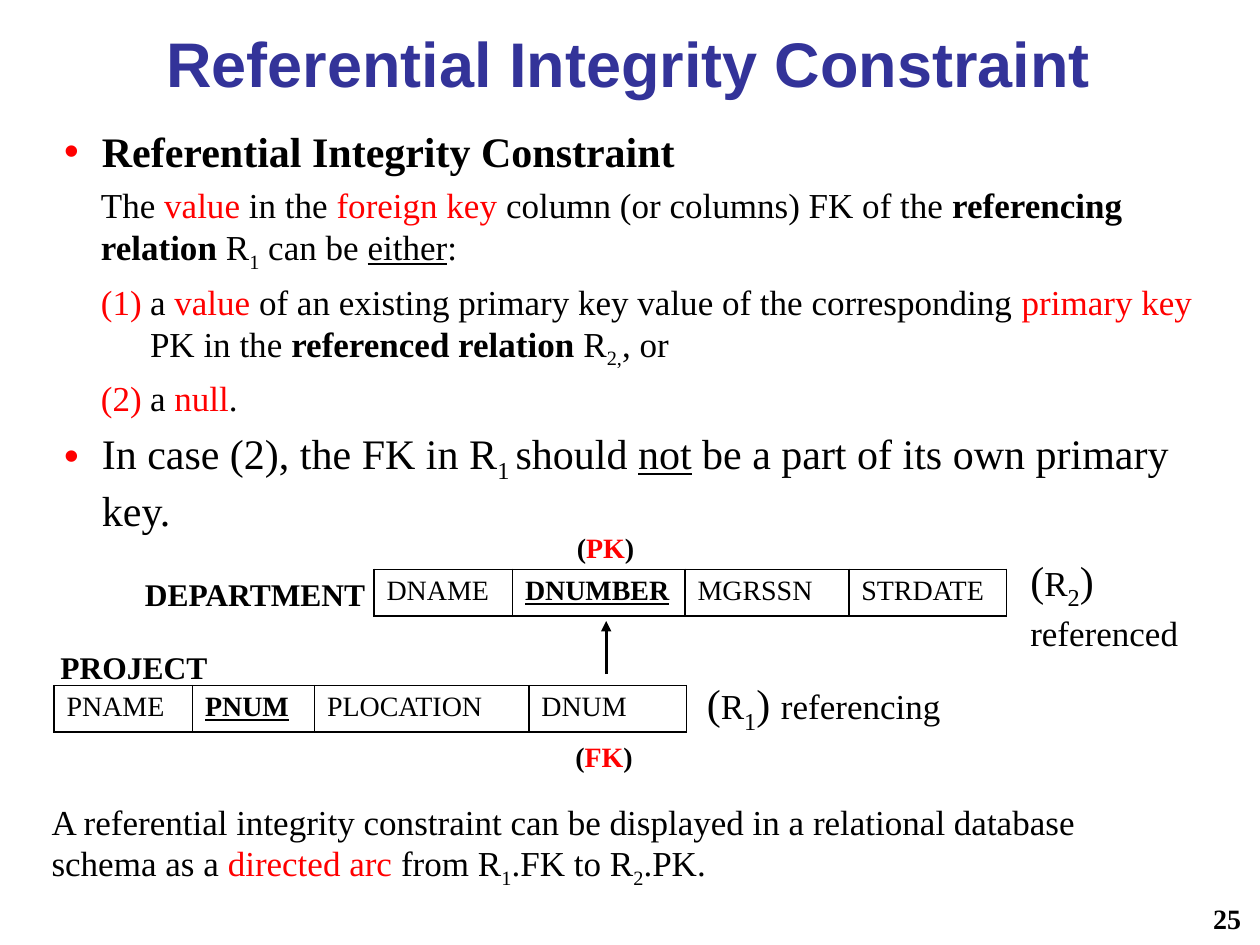
from lxml import etree
from pptx import Presentation
from pptx.dml.color import RGBColor
from pptx.enum.shapes import MSO_CONNECTOR
from pptx.enum.text import MSO_ANCHOR, MSO_AUTO_SIZE, PP_ALIGN
from pptx.oxml.ns import qn
from pptx.util import Cm, Pt

STRAIGHT = MSO_CONNECTOR.STRAIGHT
TOP, MIDDLE = MSO_ANCHOR.TOP, MSO_ANCHOR.MIDDLE
LEFT, CENTER, RIGHT = PP_ALIGN.LEFT, PP_ALIGN.CENTER, PP_ALIGN.RIGHT
NO_FIT = MSO_AUTO_SIZE.NONE
COLORS = {"black": "000000", "red": "FF0000", "navy": "333399"}

PLAIN, RED, BOLD = {}, {"color": "red"}, {"bold": True}
UNDERLINE, SUBSCRIPT = {"underline": True}, {"subscript": True}
KEY = {**BOLD, **UNDERLINE}
BOLD_RED = {**BOLD, **RED}


def write(paragraph, text, size=20, font="Times New Roman", color="black",
          bold=False, underline=False, subscript=False):
    run = paragraph.add_run()
    run.text = text
    run.font.size = Pt(size)
    run.font.name = font
    run.font.bold = bold
    run.font.underline = underline
    run.font.color.rgb = RGBColor.from_string(COLORS[color])
    if subscript:
        run.font._element.set("baseline", "-25000")


def add_element(parent, tag, **attributes):
    return etree.SubElement(parent, qn(tag), attributes)


presentation = Presentation()
presentation.slide_width, presentation.slide_height = Cm(25.4), Cm(19.05)
slide = presentation.slides.add_slide(presentation.slide_layouts[1])

title = slide.shapes.title
title.left, title.top, title.width, title.height = Cm(0.48), Cm(0.38), Cm(24.38), Cm(1.75)
title.text_frame.auto_size = NO_FIT
title.text_frame.vertical_anchor = MIDDLE
title_paragraph = title.text_frame.paragraphs[0]
title_paragraph.alignment = CENTER
write(title_paragraph, "Referential Integrity Constraint", size=36, font="Arial", color="navy", bold=True)

body = slide.placeholders[1]
body.left, body.top, body.width, body.height = Cm(1.04), Cm(2.41), Cm(23.55), Cm(8.46)
body.text_frame.auto_size = NO_FIT
body.text_frame.vertical_anchor = TOP

INDENTS = {"bullet": (0.76, -0.76), "plain": (0.74, 0), "number": (1.73, -0.99)}
body_paragraphs = [
    ("bullet", 24, [("Referential Integrity Constraint", BOLD)]),
    ("plain", 20, [
        ("The ", PLAIN), ("value", RED), (" in the ", PLAIN), ("foreign key ", RED),
        ("column (or columns) FK of the ", PLAIN), ("referencing relation ", BOLD),
        ("R", PLAIN), ("1", SUBSCRIPT), (" can be ", PLAIN), ("either", UNDERLINE), (":", PLAIN)]),
    ("number", 20, [
        ("a ", PLAIN), ("value", RED),
        (" of an existing primary key value of the corresponding ", PLAIN),
        ("primary key ", RED), ("PK in the ", PLAIN), ("referenced relation ", BOLD),
        ("R", PLAIN), ("2,", SUBSCRIPT), (", or", PLAIN)]),
    ("number", 20, [("a ", PLAIN), ("null", RED), (".", PLAIN)]),
    ("bullet", 24, [
        ("In case (2), the FK in R", PLAIN), ("1 ", SUBSCRIPT), ("should ", PLAIN),
        ("not", UNDERLINE), (" be a part of its own primary key.", PLAIN)]),
]
for index, (kind, size, runs) in enumerate(body_paragraphs):
    paragraph = body.text_frame.add_paragraph() if index else body.text_frame.paragraphs[0]
    paragraph.level = 0 if kind == "bullet" else 1
    paragraph.alignment = LEFT
    paragraph.space_before = Pt(0.2 * size if index else 0)
    properties = paragraph._p.get_or_add_pPr()
    margin, indent = INDENTS[kind]
    properties.set("marL", str(Cm(margin)))
    properties.set("indent", str(Cm(indent)))
    if kind == "plain":
        add_element(properties, "a:buNone")
    else:
        add_element(add_element(properties, "a:buClr"), "a:srgbClr", val=COLORS["red"])
        if kind == "bullet":
            add_element(properties, "a:buChar", char="•")
        else:
            add_element(properties, "a:buAutoNum", type="arabicParenBoth")
    for text, style in runs:
        write(paragraph, text, size=size, **style)

ROW_HEIGHT = 0.94
relations = [
    (7.54, 11.48, [("DNAME", 2.79, PLAIN), ("DNUMBER", 3.48, KEY),
                   ("MGRSSN", 3.3, PLAIN), ("STRDATE", 3.18, PLAIN)]),
    (1.09, 13.82, [("PNAME", 2.79, PLAIN), ("PNUM", 2.46, KEY),
                   ("PLOCATION", 4.32, PLAIN), ("DNUM", 3.18, PLAIN)]),
]
for left, top, attributes in relations:
    total_width = sum(width for _, width, _ in attributes)
    table = slide.shapes.add_table(
        1, len(attributes), Cm(left), Cm(top), Cm(total_width), Cm(ROW_HEIGHT)).table
    table.first_row = table.horz_banding = False
    for column, (name, width, style) in enumerate(attributes):
        table.columns[column].width = Cm(width)
        cell = table.cell(0, column)
        write(cell.text_frame.paragraphs[0], name, size=16, **style)
        properties = cell._tc.get_or_add_tcPr()
        for side in ("a:lnL", "a:lnR", "a:lnT", "a:lnB"):
            border = add_element(properties, side, w=str(Pt(1)))
            add_element(add_element(border, "a:solidFill"), "a:srgbClr", val=COLORS["black"])
        cell.fill.background()

arc = slide.shapes.add_connector(STRAIGHT, Cm(12.22), Cm(13.59), Cm(12.22), Cm(12.52))
arc.line.color.rgb = RGBColor.from_string(COLORS["black"])
arc.line.width = Pt(1.5)
add_element(arc.line._get_or_add_ln(), "a:tailEnd", type="triangle")
add_element(arc._element.spPr, "a:effectLst")

labels = [
    (0.97, 12.93, 4.06, 1.02, 18, LEFT, [("PROJECT", BOLD)]),
    (2.67, 11.46, 5.82, 1.02, 18, LEFT, [("DEPARTMENT", BOLD)]),
    (14, 13.54, 6.5, 1.27, 24, LEFT, [
        ("(", PLAIN), ("R", {"size": 20}), ("1", SUBSCRIPT), (") ", PLAIN),
        ("referencing", {"size": 20})]),
    (20.52, 11.05, 3.91, 2.11, 24, LEFT, [
        ("(", PLAIN), ("R", {"size": 20}), ("2", SUBSCRIPT), (") ", PLAIN),
        ("referenced", {"size": 20})]),
    (11.35, 14.78, 1.78, 0.94, 16, LEFT, [("(", BOLD), ("FK", BOLD_RED), (")", BOLD)]),
    (11.38, 10.57, 1.78, 0.94, 16, LEFT, [("(", BOLD), ("PK", BOLD_RED), (")", BOLD)]),
    (0.79, 16.1, 22.2, 1.8, 20, LEFT, [
        ("A referential integrity constraint can be displayed in a relational database "
         "schema as a ", PLAIN),
        ("directed arc ", RED), ("from R", PLAIN), ("1", SUBSCRIPT),
        (".FK to R", PLAIN), ("2", SUBSCRIPT), (".PK.", PLAIN)]),
    (19.99, 17.98, 5.28, 1.07, 16, RIGHT, [("25", BOLD)]),
]
for left, top, width, height, size, alignment, runs in labels:
    label = slide.shapes.add_textbox(Cm(left), Cm(top), Cm(width), Cm(height))
    label.text_frame.word_wrap = True
    label.text_frame.vertical_anchor = MIDDLE if alignment == RIGHT else TOP
    paragraph = label.text_frame.paragraphs[0]
    paragraph.alignment = alignment
    if size == 20:
        paragraph.line_spacing = 0.9
    for text, style in runs:
        write(paragraph, text, **{"size": size, **style})

presentation.save("out.pptx")
